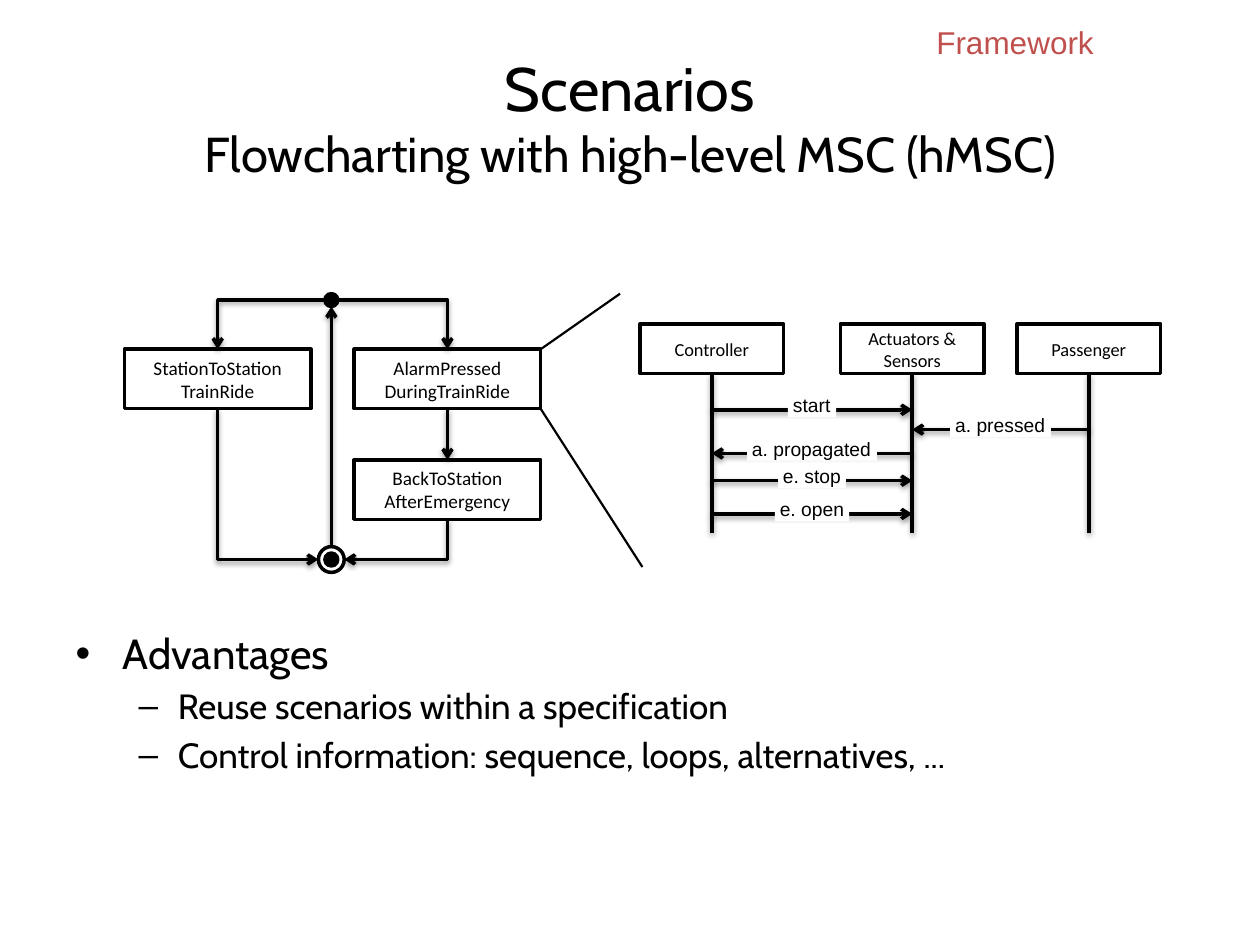
"""Build the slide on flowcharting scenarios with high-level MSC."""
from dataclasses import dataclass

from lxml.etree import SubElement
from pptx import Presentation
from pptx.dml.color import RGBColor
from pptx.enum.shapes import MSO_CONNECTOR, MSO_SHAPE
from pptx.enum.text import MSO_ANCHOR, MSO_AUTO_SIZE, PP_ALIGN
from pptx.oxml.ns import qn
from pptx.util import Cm, Pt


@dataclass(frozen=True)
class Theme:
    """Colours, fonts and sizes of the slide."""
    ink: RGBColor = RGBColor(0, 0, 0)
    paper: RGBColor = RGBColor(255, 255, 255)
    accent: RGBColor = RGBColor(0xC0, 0x50, 0x4D)
    heading_font: str = "Cabin"
    box_font: str = "Calibri"
    label_font: str = "Arial"
    title: float = 35
    subtitle: float = 28
    advantage: float = 24
    detail: float = 20
    tag: float = 18
    step: float = 11
    role: float = 10.5
    stroke: float = 2
    zoom_stroke: float = 1.25


THEME = Theme()
STEP_W, STEP_H = 3.76, 1.2
ROLE_W, ROLE_H, ROLE_TOP = 2.9, 1.0, 6.53
LIFELINE_END = 10.74
LABEL_H, LABEL_RISE = 0.48, 0.33
DOT, RING = 0.26, 0.52

ROLES = {"Controller": 14.35, "Actuators & Sensors": 18.39, "Passenger": 21.95}
MESSAGES = [
    ("start", "Controller", "Actuators & Sensors", 8.26, 0.97),
    ("a. pressed", "Passenger", "Actuators & Sensors", 8.66, 2.03),
    ("e. stop", "Controller", "Actuators & Sensors", 9.69, 1.37),
    ("e. open", "Controller", "Actuators & Sensors", 10.36, 1.5),
    ("a. propagated", "Actuators & Sensors", "Controller", 9.14, 2.62),
]
ADVANTAGES = [
    ("Advantages", 0, THEME.advantage, {"space_before": Pt(18)}),
    ("Reuse scenarios within a specification", 1, THEME.detail, {}),
    ("Control information: sequence, loops, alternatives, ...", 1, THEME.detail, {}),
]


def assign(target, values):
    """Set each attribute of target from a dict of format values."""
    for attribute, value in values.items():
        setattr(target, attribute, value)


def place(shape, left, top, width, height):
    """Move and size a shape in centimetres."""
    assign(shape, {"left": Cm(left), "top": Cm(top),
                   "width": Cm(width), "height": Cm(height)})


def write(paragraph, text, font, sizes, color=THEME.ink):
    """Write lines into a paragraph, cycling through their sizes."""
    paragraph.text = text.replace("\n", "\v")
    for index, run in enumerate(paragraph.runs):
        assign(run.font, {"name": font, "size": Pt(sizes[index % len(sizes)])})
        run.font.color.rgb = color
    for line_break in paragraph._p.findall(qn("a:br")):
        SubElement(line_break, qn("a:rPr"), sz=str(int(sizes[0] * 100)))


def add_box(slide, geometry, left, top, width, height, fill, text="", size=THEME.step):
    """Add an outlined shape with centred text."""
    box = slide.shapes.add_shape(geometry, Cm(left), Cm(top), Cm(width), Cm(height))
    box.shadow.inherit = False
    box.fill.solid()
    box.fill.fore_color.rgb = fill
    box.line.color.rgb = THEME.ink
    box.line.width = Pt(THEME.stroke)
    if text:
        assign(box.text_frame, {"word_wrap": True, "vertical_anchor": MSO_ANCHOR.MIDDLE})
        paragraph = box.text_frame.paragraphs[0]
        write(paragraph, text, THEME.box_font, [size])
        paragraph.alignment = PP_ALIGN.CENTER


def add_circle(slide, x, y, diameter, fill):
    """Add a circle centred on a point."""
    add_box(slide, MSO_SHAPE.OVAL, x - diameter / 2, y - diameter / 2,
            diameter, diameter, fill)


def add_line(slide, start, end, width=THEME.stroke, arrow=None, shadow=True, bent=False):
    """Add a line, bent lines running horizontally first, with an optional arrow."""
    kind = MSO_CONNECTOR.ELBOW if bent else MSO_CONNECTOR.STRAIGHT
    connector = slide.shapes.add_connector(kind, *map(Cm, (*start, *end)))
    connector.line.color.rgb = THEME.ink
    connector.line.width = Pt(width)
    properties = connector._element.spPr
    if bent:
        properties.find(qn("a:prstGeom")).set("prst", "bentConnector2")
    if arrow:
        SubElement(properties.find(qn("a:ln")), qn(f"a:{arrow}"), type="arrow")
    effects = SubElement(properties, qn("a:effectLst"))
    if shadow:
        outer = SubElement(effects, qn("a:outerShdw"), blurRad=str(Pt(3.1)),
                           dist=str(Pt(1.6)), dir="5400000", rotWithShape="0")
        shade = SubElement(outer, qn("a:srgbClr"), val=str(THEME.ink))
        SubElement(shade, qn("a:alpha"), val="38000")


def add_label(slide, text, center, top, width):
    """Add a message label that covers the middle of its arrow."""
    label = slide.shapes.add_textbox(Cm(center - width / 2), Cm(top), Cm(width), Cm(LABEL_H))
    label.fill.solid()
    label.fill.fore_color.rgb = THEME.paper
    assign(label.text_frame, {
        "word_wrap": False, "auto_size": MSO_AUTO_SIZE.SHAPE_TO_FIT_TEXT,
        "margin_left": Cm(0.1), "margin_right": Cm(0.1),
        "margin_top": 0, "margin_bottom": 0})
    write(label.text_frame.paragraphs[0], text, THEME.label_font, [THEME.step])


def add_headings(slide):
    """Fill the title placeholder and add the section tag."""
    title = slide.shapes.title
    place(title, 1.27, 0.76, 22.86, 3.18)
    assign(title.text_frame, {"vertical_anchor": MSO_ANCHOR.MIDDLE,
                              "auto_size": MSO_AUTO_SIZE.NONE})
    heading = title.text_frame.paragraphs[0]
    write(heading, "Scenarios\nFlowcharting with high-level MSC (hMSC)",
          THEME.heading_font, [THEME.title, THEME.subtitle])
    heading.alignment = PP_ALIGN.CENTER
    tag = slide.shapes.add_textbox(Cm(11.91), Cm(0.33), Cm(10.39), Cm(1.02))
    tag.text_frame.word_wrap = True
    tag_line = tag.text_frame.paragraphs[0]
    write(tag_line, "Framework", THEME.label_font, [THEME.tag], THEME.accent)
    tag_line.alignment = PP_ALIGN.RIGHT


def add_advantages(slide):
    """Fill the body placeholder with the list of advantages."""
    body = slide.placeholders[1]
    place(body, 1.27, 12.52, 23.62, 3.81)
    frame = body.text_frame
    frame.auto_size = MSO_AUTO_SIZE.NONE
    for index, (text, level, size, spacing) in enumerate(ADVANTAGES):
        paragraph = frame.add_paragraph() if index else frame.paragraphs[0]
        write(paragraph, text, THEME.heading_font, [size])
        assign(paragraph, {"level": level, **spacing})


def add_sequence_chart(slide):
    """Draw the roles, their lifelines and the messages between them."""
    for role, x in ROLES.items():
        add_box(slide, MSO_SHAPE.RECTANGLE, x - ROLE_W / 2, ROLE_TOP, ROLE_W, ROLE_H,
                THEME.paper, role, THEME.role)
        add_line(slide, (x, ROLE_TOP + ROLE_H), (x, LIFELINE_END))
    for text, sender, receiver, y, width in MESSAGES:
        start, end = ROLES[sender], ROLES[receiver]
        add_line(slide, (start, y), (end, y), arrow="tailEnd")
        add_label(slide, text, (start + end) / 2, y - LABEL_RISE, width)


def add_flowchart(slide):
    """Draw the high-level flow of scenarios and the zoom lines."""
    ride_x, hub_x, alarm_x = 4.39, 6.68, 9.02
    start_y, step_y, return_y, end_y = 6.05, 7.04, 9.27, 11.28
    step_end, return_end = step_y + STEP_H, return_y + STEP_H
    for text, x, y in [("StationToStation\nTrainRide", ride_x, step_y),
                       ("AlarmPressed\nDuringTrainRide", alarm_x, step_y),
                       ("BackToStation\nAfterEmergency", alarm_x, return_y)]:
        add_box(slide, MSO_SHAPE.RECTANGLE, x - STEP_W / 2, y, STEP_W, STEP_H,
                THEME.paper, text)
    for x, side, exit_y in [(ride_x, -1, step_end), (alarm_x, 1, return_end)]:
        add_line(slide, (hub_x + side * DOT / 2, start_y), (x, step_y),
                 arrow="tailEnd", bent=True)
        add_line(slide, (hub_x + side * RING / 2, end_y), (x, exit_y),
                 arrow="headEnd", bent=True)
    add_line(slide, (alarm_x, step_end), (alarm_x, return_y), arrow="tailEnd")
    add_line(slide, (hub_x, end_y - RING / 2), (hub_x, start_y + DOT / 2), arrow="tailEnd")
    add_circle(slide, hub_x, start_y, DOT, THEME.ink)
    add_circle(slide, hub_x, end_y, RING, THEME.paper)
    add_circle(slide, hub_x, end_y, DOT, THEME.ink)
    corner_x = alarm_x + STEP_W / 2
    for y, target in [(step_end, (12.95, 11.43)), (step_y, (12.5, 5.92))]:
        add_line(slide, (corner_x, y), target, THEME.zoom_stroke, shadow=False)


def main():
    """Build and save the slide."""
    presentation = Presentation()
    assign(presentation, {"slide_width": Cm(25.4), "slide_height": Cm(19.05)})
    slide = presentation.slides.add_slide(presentation.slide_layouts[1])
    add_headings(slide)
    add_advantages(slide)
    add_sequence_chart(slide)
    add_flowchart(slide)
    presentation.save("out.pptx")


if __name__ == "__main__":
    main()
